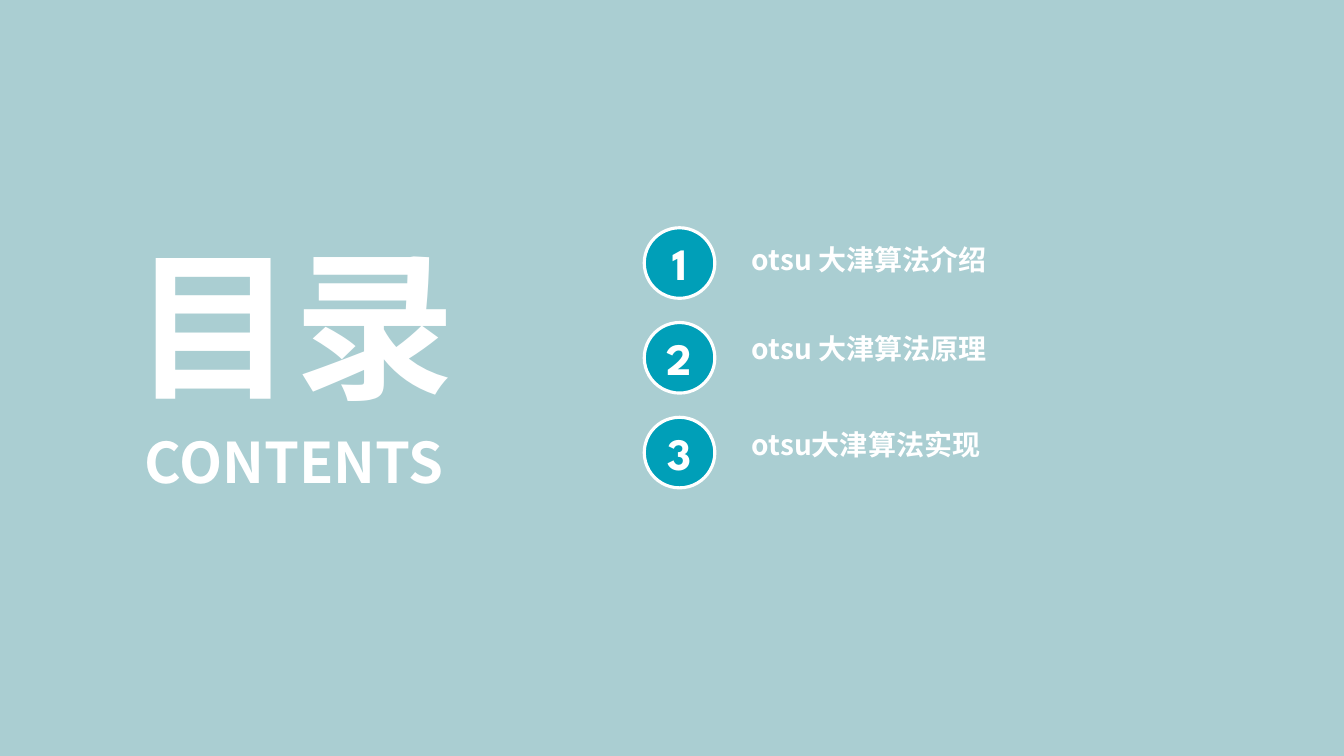
from dataclasses import dataclass

from pptx import Presentation
from pptx.dml.color import RGBColor
from pptx.enum import shapes, text
from pptx.oxml import ns
from pptx.util import Inches, Pt
from lxml import etree


@dataclass(frozen=True)
class Theme:
    background: RGBColor = RGBColor(0xAA, 0xCE, 0xD2)
    badge: RGBColor = RGBColor(0x00, 0x9F, 0xB8)
    light: RGBColor = RGBColor(0xFF, 0xFF, 0xFF)
    font: str = "Noto Sans CJK SC"
    number_font: str = "League Spartan"
    title: int = 115
    subtitle: int = 40
    item: int = 20
    number: int = 32
    outline: float = 2.25


THEME = Theme()
ITEMS = [
    ("otsu 大津算法介绍", 0.15),
    ("otsu 大津算法原理", 0.09),
    ("otsu大津算法实现", 0.10),
]


def write(tf, content, size, font, align):
    tf.word_wrap = True
    tf.vertical_anchor = text.MSO_ANCHOR.MIDDLE
    p = tf.paragraphs[0]
    p.alignment = align
    r = p.add_run()
    r.text = content
    r.font.size = Pt(size)
    r.font.bold = True
    r.font.name = font
    r.font.color.rgb = THEME.light
    east_asian = etree.SubElement(r.font._element, ns.qn("a:ea"))
    east_asian.set("typeface", font)
    return p


def add_label(s, left, top, width, height, content, size, align):
    box = s.shapes.add_textbox(*map(Inches, (left, top, width, height)))
    p = write(box.text_frame, content, size, THEME.font, align)
    p.line_spacing = 0.9
    p.space_before = Pt(10)


def add_badge(s, left, top, size, number):
    sp = s.shapes.add_shape(
        shapes.MSO_SHAPE.OVAL, *map(Inches, (left, top, size, size))
    )
    sp.shadow.inherit = False
    sp.fill.solid()
    sp.fill.fore_color.rgb = THEME.badge
    sp.line.color.rgb = THEME.light
    sp.line.width = Pt(THEME.outline)
    tf = sp.text_frame
    tf.margin_left = tf.margin_right = 0
    write(tf, str(number), THEME.number, THEME.number_font, text.PP_ALIGN.CENTER)


def add_heading(s, left, top, width, title_height, subtitle_height):
    center = text.PP_ALIGN.CENTER
    add_label(s, left, top, width, title_height, "目录", THEME.title, center)
    add_label(s, left, top + title_height, width, subtitle_height,
              "CONTENTS", THEME.subtitle, center)


def add_agenda(s, left, top, width, pitch):
    label_left = 0.97
    for i, (content, offset) in enumerate(ITEMS):
        row_top = top + i * pitch
        add_badge(s, left, row_top, 0.7, i + 1)
        add_label(s, left + label_left, row_top + offset, width - label_left,
                  0.37, content, THEME.item, text.PP_ALIGN.LEFT)


def add_contents_slide(prs):
    s = prs.slides.add_slide(prs.slide_layouts[6])
    s.background.fill.solid()
    s.background.fill.fore_color.rgb = THEME.background
    add_heading(s, 1.03, 2.38, 3.78, 1.87, 0.73)
    add_agenda(s, 6.39, 2.26, 5.1, 0.94)


def main():
    prs = Presentation()
    prs.slide_width = Inches(13.33)
    prs.slide_height = Inches(7.5)
    add_contents_slide(prs)
    prs.save("out.pptx")


if __name__ == "__main__":
    main()
